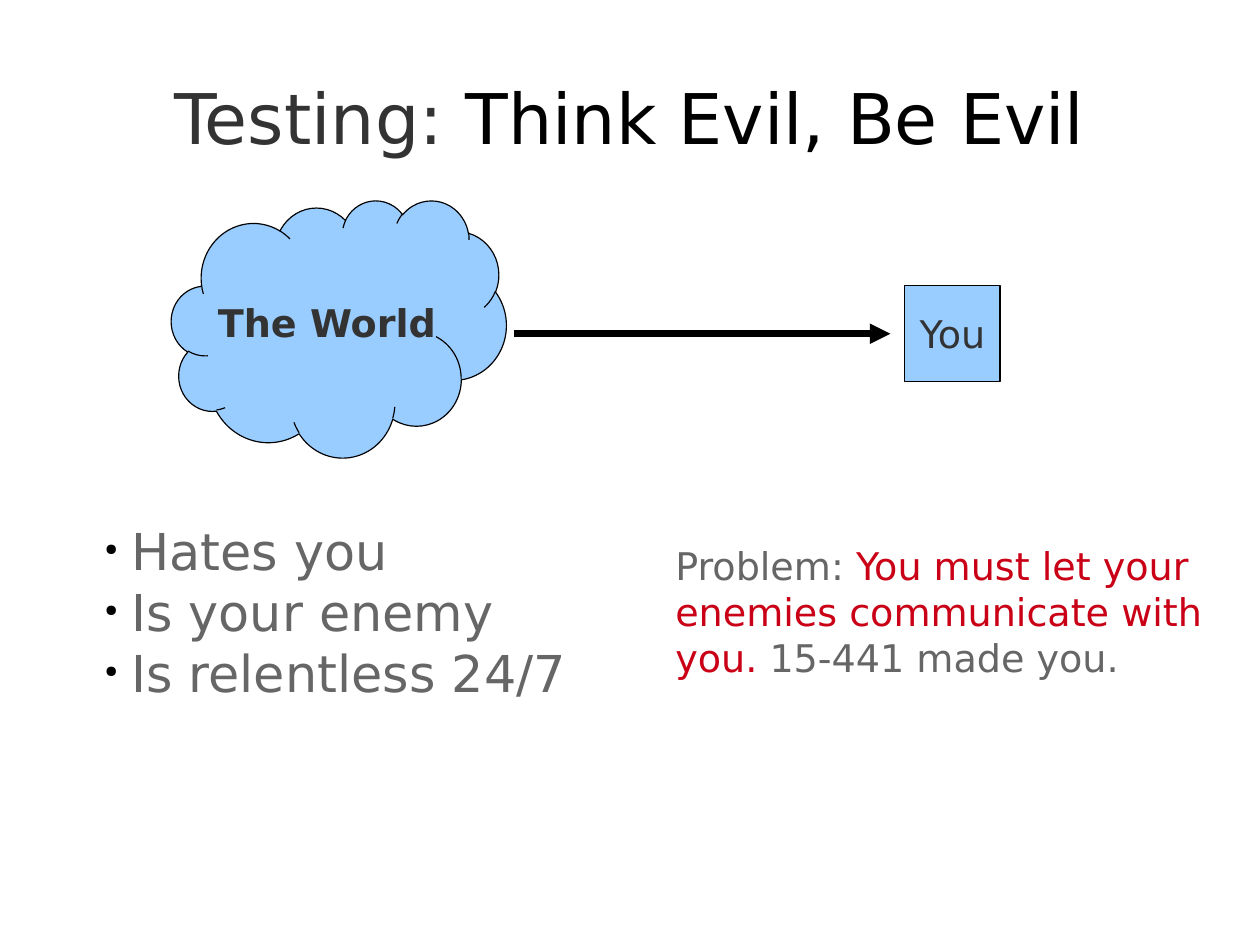
from dataclasses import dataclass

from lxml.etree import SubElement
from pptx import Presentation
from pptx.dml.color import RGBColor
from pptx.enum.shapes import MSO_CONNECTOR as Connector, MSO_SHAPE as Shape
from pptx.enum.text import MSO_ANCHOR as Anchor, PP_ALIGN as Align
from pptx.oxml.ns import qn
from pptx.util import Cm, Inches, Pt


@dataclass(frozen=True)
class Theme:
    font: str = "DejaVu Sans"
    black: str = "000000"
    dark: str = "333333"
    grey: str = "666666"
    red: str = "C90016"
    blue: str = "99CCFF"
    title: int = 44
    bullet: int = 32
    body: int = 24
    arrow: float = 4.31
    bullet_percent: int = 32


THEME = Theme()
SLIDE_SIZE = (28, 21)
CELL = 0.25

TITLE = [[("Testing: ", THEME.dark), ("Think Evil, Be Evil", THEME.black)]]
NODES = [
    ("The World", Shape.CLOUD, (6, 7, 11.72, 9), True),
    ("You", Shape.RECTANGLE, (31.66, 10, 3.34, 3.34), False),
]
TRAITS = ["Hates you", "Is your enemy", "Is relentless 24/7"]
PROBLEM = [
    [("Problem: ", THEME.grey), ("You must let your", THEME.red)],
    [("enemies communicate with", THEME.red)],
    [("you.", THEME.red), (" 15-441 made you.", THEME.grey)],
]

TITLE_BOX = (2.2, 1.32, 39.68, 5.52)
TRAITS_BOX = (3.28, 18, 17, 7)
PROBLEM_BOX = (23.24, 18.8, 19.24, 5.04)
ARROW = (18, 11.68, 31.16, 11.68)
BULLET_INDENT = 0.92


def grid(cells):
    return [Inches(cell * CELL) for cell in cells]


def write(shape, paragraphs, size, align=Align.LEFT, anchor=Anchor.TOP, bold=False, wrap=True):
    frame = shape.text_frame
    frame.word_wrap = wrap
    frame.vertical_anchor = anchor
    for index, runs in enumerate(paragraphs):
        paragraph = frame.add_paragraph() if index else frame.paragraphs[0]
        paragraph.alignment = align
        for text, color in runs:
            run = paragraph.add_run()
            run.text = text
            run.font.name = THEME.font
            run.font.size = Pt(size)
            run.font.bold = bold
            run.font.color.rgb = RGBColor.from_string(color)
    return frame


def add_bullet(paragraph):
    indent = Inches(BULLET_INDENT * CELL)
    properties = paragraph._p.get_or_add_pPr()
    properties.set("marL", str(indent))
    properties.set("indent", str(-indent))
    color = SubElement(properties, qn("a:buClr"))
    SubElement(color, qn("a:srgbClr"), val=THEME.black)
    SubElement(properties, qn("a:buSzPct"), val=str(THEME.bullet_percent * 1000))
    SubElement(properties, qn("a:buChar"), char="●")


def add_node(slide, label, kind, box, bold):
    shape = slide.shapes.add_shape(kind, *grid(box))
    shape.shadow.inherit = False
    shape.fill.solid()
    shape.fill.fore_color.rgb = RGBColor.from_string(THEME.blue)
    shape.line.color.rgb = RGBColor.from_string(THEME.black)
    shape.line.width = Pt(0)
    write(shape, [[(label, THEME.dark)]], THEME.body, Align.CENTER, Anchor.MIDDLE, bold, False)


def add_arrow(slide, ends):
    arrow = slide.shapes.add_connector(Connector.STRAIGHT, *grid(ends))
    arrow.line.color.rgb = RGBColor.from_string(THEME.black)
    arrow.line.width = Pt(THEME.arrow)
    SubElement(arrow.line._get_or_add_ln(), qn("a:tailEnd"), type="triangle")
    SubElement(arrow._element.spPr, qn("a:effectLst"))


def main():
    presentation = Presentation()
    presentation.slide_width, presentation.slide_height = map(Cm, SLIDE_SIZE)
    slide = presentation.slides.add_slide(presentation.slide_layouts[6])

    title = slide.shapes.add_textbox(*grid(TITLE_BOX))
    frame = write(title, TITLE, THEME.title, Align.CENTER, Anchor.MIDDLE)
    frame.margin_left = frame.margin_right = frame.margin_top = frame.margin_bottom = 0

    for node in NODES:
        add_node(slide, *node)

    traits = slide.shapes.add_textbox(*grid(TRAITS_BOX))
    lines = [[(trait, THEME.grey)] for trait in TRAITS]
    for paragraph in write(traits, lines, THEME.bullet).paragraphs:
        add_bullet(paragraph)

    add_arrow(slide, ARROW)

    problem = slide.shapes.add_textbox(*grid(PROBLEM_BOX))
    write(problem, PROBLEM, THEME.body, wrap=False)

    presentation.save("out.pptx")


if __name__ == "__main__":
    main()
